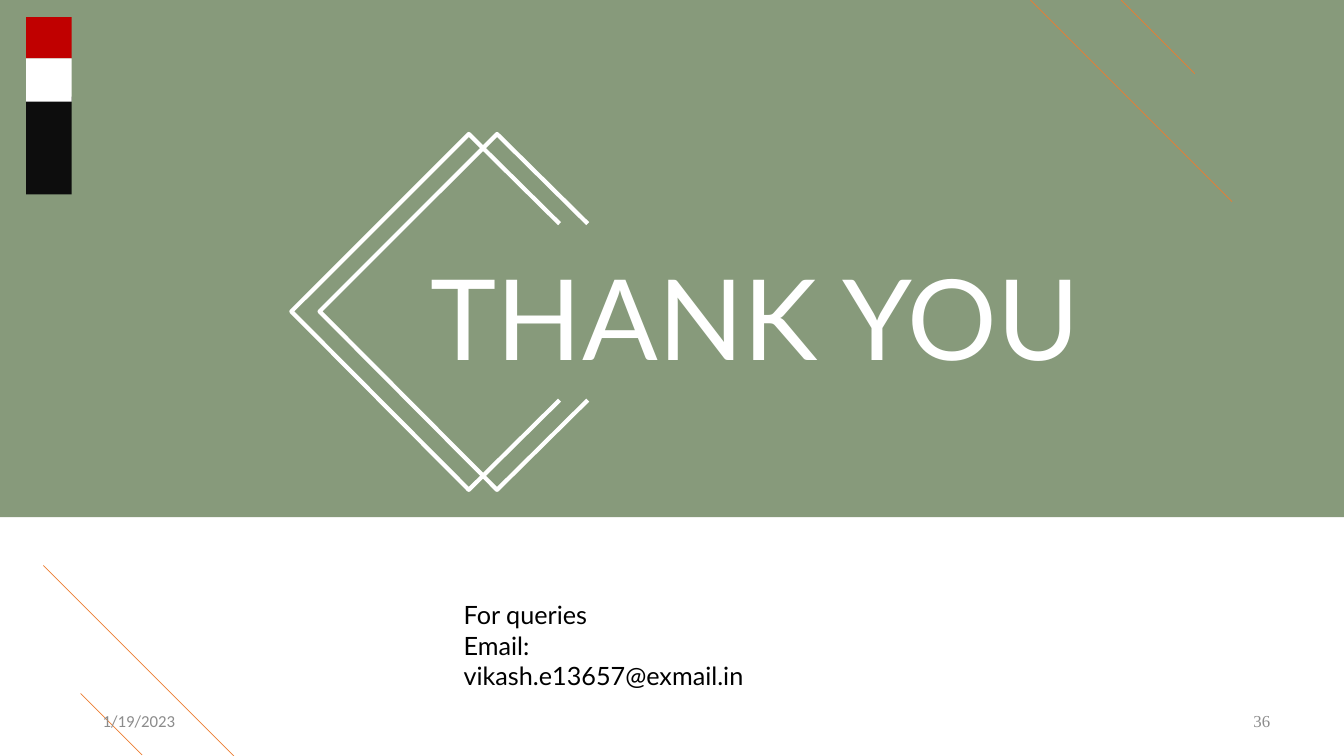
from lxml import etree
from pptx import Presentation
from pptx import util as u
from pptx.dml.color import RGBColor
from pptx.enum import shapes, text
from pptx.oxml import ns

GREEN = RGBColor(0x38, 0x57, 0x23)
ORANGE = RGBColor(0xED, 0x7D, 0x31)
RED = RGBColor(0xC0, 0x00, 0x00)
WHITE = RGBColor(0xFF, 0xFF, 0xFF)
NEAR_BLACK = RGBColor(0x0D, 0x0D, 0x0D)
BLACK = RGBColor(0x00, 0x00, 0x00)
GREY = RGBColor(0x8C, 0x8C, 0x8C)


class Deck:
    """Holds the style and the current slide, and draws each kind of element."""

    font = "Lato"
    thin = u.Pt(0.5)
    thick = u.Pt(3)

    def __init__(self, slide):
        self.s = slide

    def rect(self, x, y, w, h, color, alpha=None):
        sp = self.s.shapes.add_shape(
            shapes.MSO_SHAPE.RECTANGLE, *map(u.Inches, (x, y, w, h)))
        sp.shadow.inherit = False
        sp.fill.solid()
        sp.fill.fore_color.rgb = color
        sp.line.fill.background()
        if alpha is not None:
            clr = sp.fill._xPr.find(".//" + ns.qn("a:srgbClr"))
            etree.SubElement(clr, ns.qn("a:alpha"), val=str(alpha * 1000))

    def diagonal(self, x, y, length):
        c = self.s.shapes.add_connector(
            shapes.MSO_CONNECTOR.STRAIGHT,
            *map(u.Inches, (x, y, x + length, y + length)))
        c.line.color.rgb = ORANGE
        c.line.width = self.thin
        etree.SubElement(c._element.spPr, ns.qn("a:effectLst"))

    def outline(self, points, color):
        pts = [(u.Inches(x), u.Inches(y)) for x, y in points]
        fb = self.s.shapes.build_freeform(*pts[0])
        fb.add_line_segments(pts[1:], close=False)
        sp = fb.convert_to_shape()
        sp.shadow.inherit = False
        sp.fill.background()
        sp.line.color.rgb = color
        sp.line.width = self.thick

    def label(self, x, y, w, h, words, size, color, font=None, inset=None,
              align=text.PP_ALIGN.LEFT, anchor=text.MSO_ANCHOR.MIDDLE):
        tf = self.s.shapes.add_textbox(*map(u.Inches, (x, y, w, h))).text_frame
        tf.word_wrap = True
        tf.vertical_anchor = anchor
        if inset is not None:
            tf.margin_left = tf.margin_right = u.Inches(inset)
            tf.margin_top = tf.margin_bottom = u.Inches(inset)
        tf.text = words
        for p in tf.paragraphs:
            p.alignment = align
            for r in p.runs:
                r.font.size = u.Pt(size)
                r.font.name = font or self.font
                r.font.color.rgb = color


def main():
    prs = Presentation()
    prs.slide_width, prs.slide_height = u.Inches(13.33), u.Inches(7.5)
    d = Deck(prs.slides.add_slide(prs.slide_layouts[6]))

    d.rect(0, 0, 13.33, 5.13, GREEN, alpha=60)
    for x, y, length in ((10.22, 0, 2), (11.12, 0, 0.73),
                         (0.8, 6.88, 0.61), (0.43, 5.61, 1.89)):
        d.diagonal(x, y, length)

    d.label(1.63, 2.46, 11.73, 1.35, "THANK YOU", 80, WHITE, inset=0,
            align=text.PP_ALIGN.CENTER)
    for x in (2.89, 3.17):
        d.outline([(x + 2.66, 3.97), (x + 1.76, 4.86), (x, 3.09),
                   (x + 1.76, 1.33), (x + 2.66, 2.22)], WHITE)

    d.label(4.5, 5.9, 3.51, 0.71, "For queries\nEmail: vikash.e13657@exmail.in",
            18, BLACK, anchor=text.MSO_ANCHOR.TOP)

    for y, h, color in ((0.17, 0.41, RED), (0.96, 0.97, NEAR_BLACK),
                        (0.58, 0.43, WHITE)):
        d.rect(0.26, y, 0.45, h, color)

    d.label(12.27, 6.95, 0.49, 0.4, "36", 12, GREY, "Times New Roman",
            align=text.PP_ALIGN.CENTER)
    d.label(0.92, 6.95, 3, 0.4, "1/19/2023", 12, GREY, "Calibri")

    prs.save("out.pptx")


if __name__ == "__main__":
    main()
